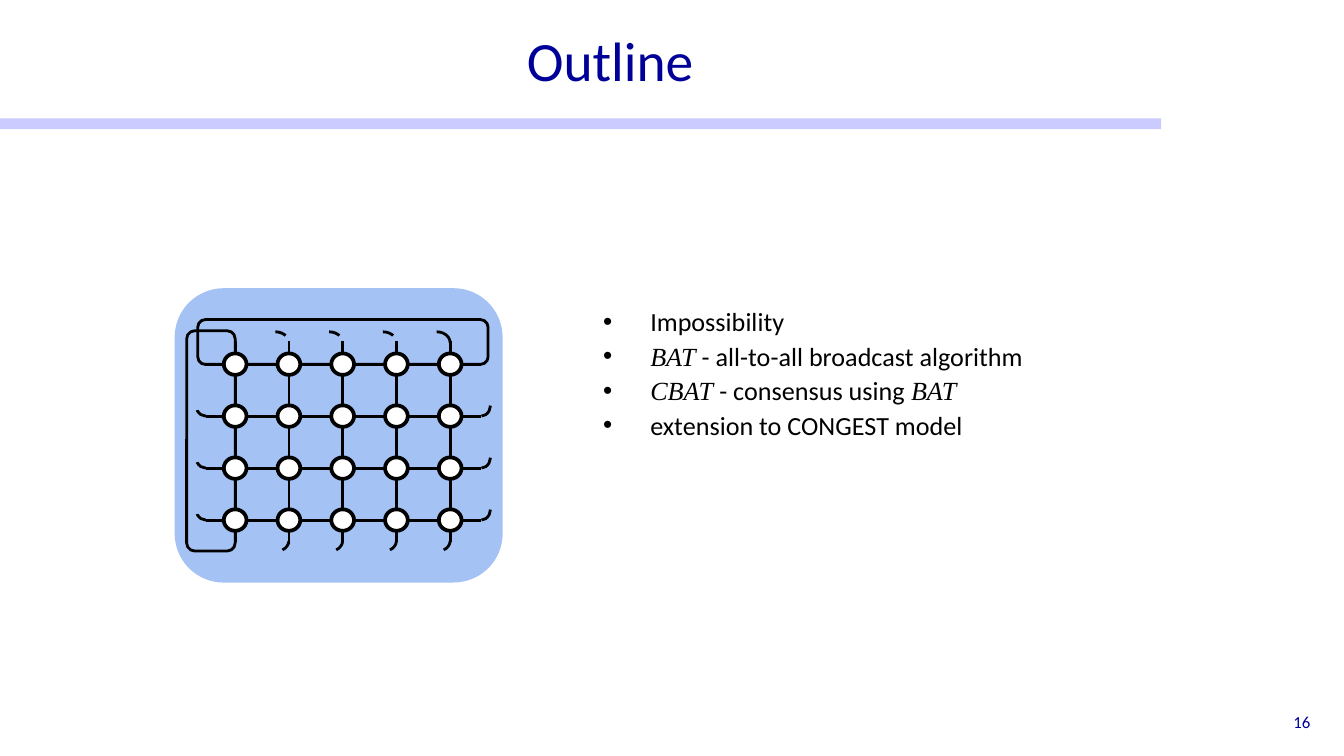
from dataclasses import dataclass

from lxml import etree
from pptx import Presentation
from pptx.dml.color import RGBColor
from pptx.enum.dml import MSO_LINE
from pptx.enum.shapes import MSO_CONNECTOR, MSO_SHAPE
from pptx.enum.text import MSO_ANCHOR, PP_ALIGN
from pptx.oxml.ns import qn
from pptx.util import Pt

RECTANGLE, ROUNDED = MSO_SHAPE.RECTANGLE, MSO_SHAPE.ROUNDED_RECTANGLE
OVAL, ARC = MSO_SHAPE.OVAL, MSO_SHAPE.ARC
STRAIGHT = MSO_CONNECTOR.STRAIGHT
DASH, LONG_DASH = MSO_LINE.DASH, MSO_LINE.LONG_DASH
TOP, MIDDLE, BOTTOM = MSO_ANCHOR.TOP, MSO_ANCHOR.MIDDLE, MSO_ANCHOR.BOTTOM
LEFT, CENTER, RIGHT = PP_ALIGN.LEFT, PP_ALIGN.CENTER, PP_ALIGN.RIGHT


@dataclass(frozen=True)
class Theme:
    navy = RGBColor(0x00, 0x00, 0x99)
    lilac = RGBColor(0x99, 0x99, 0xFF)
    panel = RGBColor(0xA4, 0xC2, 0xF4)
    black = RGBColor(0x00, 0x00, 0x00)
    white = RGBColor(0xFF, 0xFF, 0xFF)
    font = "Calibri"
    math_font = "Times New Roman"
    title_size = 29.7
    body_size = 14
    number_size = 9
    edge_width = 1.5
    node_width = 2


theme = Theme()


def add_shape(shapes, kind, box, fill=None, line_width=None):
    shape = shapes.add_shape(kind, *map(Pt, box))
    shape.shadow.inherit = False
    if fill is None:
        shape.fill.background()
    else:
        shape.fill.solid()
        shape.fill.fore_color.rgb = fill
    if line_width is None:
        shape.line.fill.background()
    else:
        shape.line.color.rgb = theme.black
        shape.line.width = Pt(line_width)
    return shape


def add_text(box, paragraphs, size, color, align, anchor, margins):
    """Each paragraph is a list of (text, is_math) runs."""
    frame = slide.shapes.add_textbox(*map(Pt, box)).text_frame
    frame.word_wrap = True
    frame.vertical_anchor = anchor
    frame.margin_left, frame.margin_top, frame.margin_right, frame.margin_bottom = map(Pt, margins)
    for index, runs in enumerate(paragraphs):
        paragraph = frame.add_paragraph() if index else frame.paragraphs[0]
        paragraph.alignment = align
        paragraph.line_spacing = 1.1
        for text, is_math in runs:
            run = paragraph.add_run()
            run.text = text
            run.font.name = theme.math_font if is_math else theme.font
            run.font.italic = is_math
            run.font.size = Pt(size)
            run.font.color.rgb = color
    return frame


presentation = Presentation()
presentation.slide_width, presentation.slide_height = Pt(720), Pt(405)
slide = presentation.slides.add_slide(presentation.slide_layouts[6])

# Title and half-transparent rule below it
rule = add_shape(slide.shapes, RECTANGLE, (0, 63.4, 622, 5.8), theme.lilac)
rule_color = rule.fill._xPr.find(".//" + qn("a:srgbClr"))
etree.SubElement(rule_color, qn("a:alpha"), val="50000")
add_text((36, 24.5, 581.8, 28.8), [[("Outline", False)]],
         theme.title_size, theme.navy, CENTER, BOTTOM, (7.2, 3.6, 7.2, 3.6))

# Bulleted topics
topics = [
    [("Impossibility", False)],
    [("BAT", True), (" - all-to-all broadcast algorithm", False)],
    [("CBAT", True), (" - consensus using ", False), ("BAT", True)],
    [("extension to CONGEST model", False)],
]
body = add_text((269.3, 139.7, 348.5, 175.7), topics,
                theme.body_size, theme.black, LEFT, TOP, (7.2, 22.4, 7.2, 3.6))
for paragraph in body.paragraphs:
    properties = paragraph._p.get_or_add_pPr()
    properties.set("marL", str(Pt(72)))
    properties.set("indent", str(Pt(-25.2)))
    etree.SubElement(properties, qn("a:buFont"), typeface="Arial")
    etree.SubElement(properties, qn("a:buChar"), char="•")

# Slide number
add_text((545, 375.1, 162, 21.6), [[("16", False)]],
         theme.number_size, theme.navy, RIGHT, MIDDLE, (5, 2.9, 5, 2.9))

# Torus panel with the two full wrap-around loops
torus = slide.shapes.add_group_shape().shapes
add_shape(torus, ROUNDED, (93.6, 154.4, 175.7, 157.7), theme.panel)
for loop in ((106, 171.2, 155.5, 24), (100, 177.2, 26, 118)):
    add_shape(torus, ROUNDED, loop, line_width=theme.edge_width)

# Grid edges: between neighbouring nodes, plus a stub at each end
columns = [126 + 28.8 * index for index in range(5)]
rows = [195.1 + 27.85 * index for index in range(4)]
node_w, node_h = 12.2, 11.5
edges = []
for y in rows:
    starts = [110.2] + [x + node_w / 2 for x in columns]
    ends = [x - node_w / 2 for x in columns] + [257.8]
    edges += [(start, y, end, y) for start, end in zip(starts, ends)]
for x in columns:
    starts = [182.9] + [y + node_h / 2 for y in rows]
    ends = [y - node_h / 2 for y in rows] + [290.2]
    edges += [(x, start, x, end) for start, end in zip(starts, ends)]
for edge in edges:
    connector = torus.add_connector(STRAIGHT, *map(Pt, edge))
    connector.line.color.rgb = theme.black
    connector.line.width = Pt(theme.edge_width)
    etree.SubElement(connector._element.spPr, qn("a:effectLst"))

# Nodes
for y in rows:
    for x in columns:
        add_shape(torus, OVAL, (x - node_w / 2, y - node_h / 2, node_w, node_h),
                  theme.white, theme.node_width)

# Dashed arcs hint at the remaining wrap-arounds: box, start and end degrees, dash
arcs = []
for x in columns[1:]:
    top_dash = LONG_DASH if x == columns[-1] else DASH
    arcs.append(((x - 14.4, 177.8, 14.4, 11.5), 269.3, 1, top_dash))
    arcs.append(((x - 14.4, 284, 14.4, 11.5), 2.2, 88.4, DASH))
for y in rows[1:]:
    arcs.append(((105.1, y - 11.5, 10.1, 11.5), 87.6, 178.4, DASH))
    arcs.append(((252.7, y - 11.5, 10.1, 11.5), 2, 87.9, LONG_DASH))
for box, start, end, dash in arcs:
    arc = add_shape(torus, ARC, box, line_width=theme.edge_width)
    arc.adjustments[0] = start * 0.6  # 60000 units per degree, scaled by 100000
    arc.adjustments[1] = end * 0.6
    arc.line.dash_style = dash

presentation.save("out.pptx")
